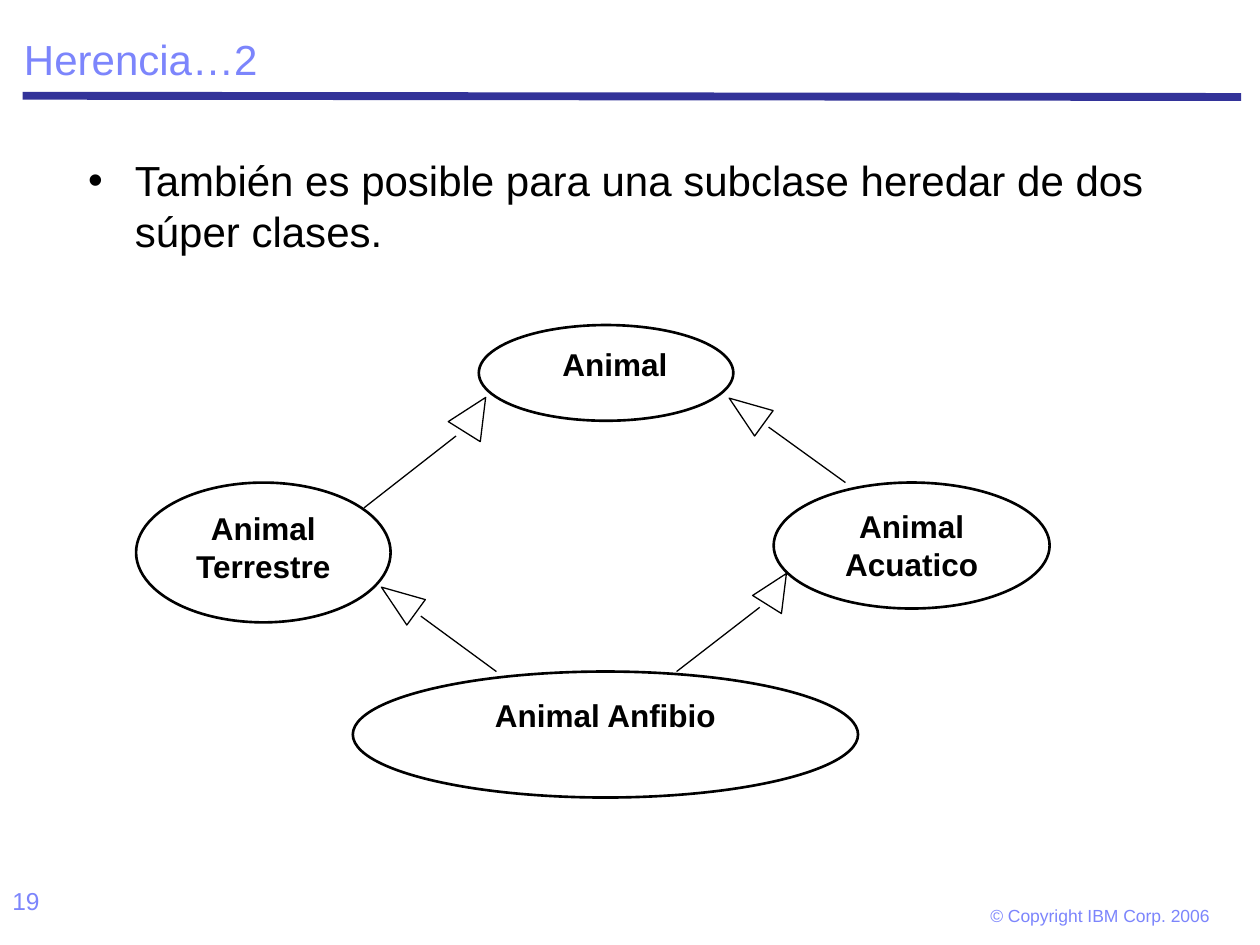
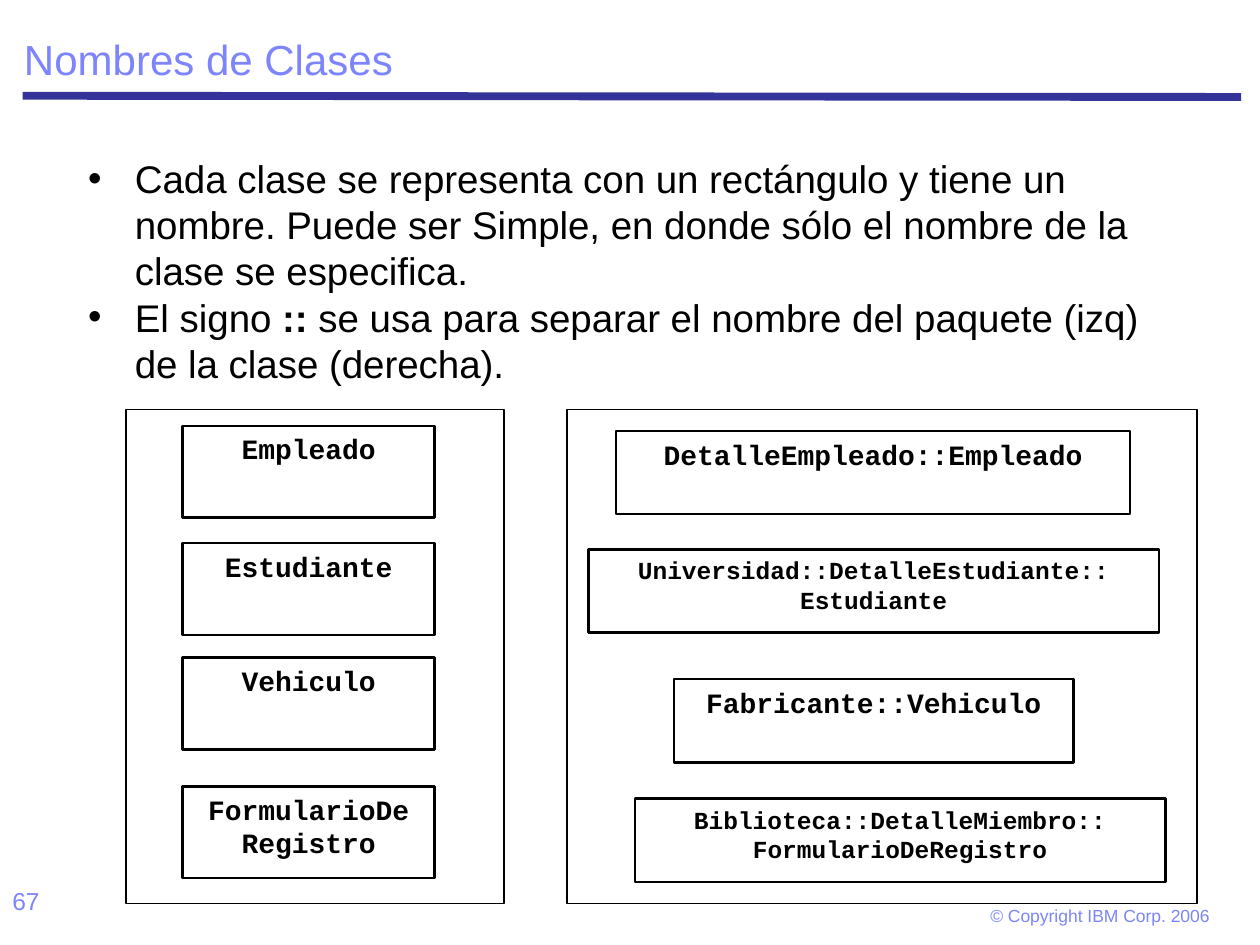
"""Build two slides on class inheritance and class names."""
from lxml.etree import SubElement
from pptx import Presentation
from pptx.dml.color import RGBColor
from pptx.enum.shapes import MSO_CONNECTOR as CONNECTOR, MSO_SHAPE as SHAPE
from pptx.enum.text import MSO_ANCHOR as ANCHOR, MSO_AUTO_SIZE as AUTO_SIZE, PP_ALIGN as ALIGN
from pptx.oxml.ns import qn
from pptx.util import Inches, Pt

COLORS = {"title": "7C85FC", "rule": "333399", "ink": "000000"}
SANS, MONO = "Arial", "Courier New"


def write(shape, paragraphs, size, color="ink", name=SANS, bold=False, align=ALIGN.LEFT, bullet=False):
    """Fill a shape with paragraphs, each a list of (text, bold) runs or a string."""
    frame = shape.text_frame
    frame.auto_size = AUTO_SIZE.NONE
    frame.vertical_anchor = ANCHOR.TOP
    for index, content in enumerate(paragraphs):
        paragraph = frame.add_paragraph() if index else frame.paragraphs[0]
        paragraph.alignment = align
        paragraph.space_before = Pt(0)
        if bullet:
            properties = paragraph._p.get_or_add_pPr()
            properties.set("marL", str(Inches(0.37)))
            properties.set("indent", str(Inches(-0.37)))
            bullet_color = SubElement(properties, qn("a:buClr"))
            SubElement(bullet_color, qn("a:srgbClr"), val=COLORS["ink"])
            SubElement(properties, qn("a:buFont"), typeface=SANS)
            SubElement(properties, qn("a:buChar"), char="•")
        font = paragraph.font
        font.name, font.size, font.bold = name, Pt(size), bold
        font.color.rgb = RGBColor.from_string(COLORS[color])
        for text, strong in [(content, None)] if isinstance(content, str) else content:
            run = paragraph.add_run()
            run.text = text
            if strong:
                run.font.bold = True


def outline(slide, kind, box, width=1.5, rotation=0):
    """Add an unfilled black preset shape, or a line when kind is a connector type."""
    lengths = [Inches(value) for value in box]
    if isinstance(kind, CONNECTOR):
        shape = slide.shapes.add_connector(kind, *lengths)
        SubElement(shape._element.spPr, qn("a:effectLst"))
    else:
        shape = slide.shapes.add_shape(kind, *lengths)
        shape.shadow.inherit = False
        shape.fill.background()
        shape.rotation = rotation
        shape.text_frame.word_wrap = True
    shape.line.width = Pt(width)
    shape.line.color.rgb = RGBColor.from_string(COLORS["ink"])
    return shape


presentation = Presentation()
presentation.slide_width, presentation.slide_height = Inches(10), Inches(7.5)

pages = [
    ("Herencia…2", "19", 24,
     ["También es posible para una subclase heredar de dos súper clases."]),
    ("Nombres de Clases", "67", 22,
     ["Cada clase se representa con un rectángulo y tiene un nombre. Puede ser Simple, "
      "en donde sólo el nombre de la clase se especifica.",
      [("El signo ", False), (":: ", True),
       ("se usa para separar el nombre del paquete (izq) de la clase (derecha).", False)]]),
]
slides = []
for title_text, number, body_size, items in pages:
    slide = presentation.slides.add_slide(presentation.slide_layouts[1])
    slides.append(slide)
    rule = outline(slide, CONNECTOR.STRAIGHT, (0.18, 0.76, 9.85, 0.77), 4.5)
    rule.line.color.rgb = RGBColor.from_string(COLORS["rule"])

    title, body = slide.shapes.title, slide.placeholders[1]
    for placeholder, box in ((title, (0.09, 0.09, 9.8, 0.63)), (body, (0.6, 1.18, 8.8, 5.38))):
        placeholder.left, placeholder.top, placeholder.width, placeholder.height = map(Inches, box)
    write(title, [title_text], 24, "title")
    title.text_frame.vertical_anchor = ANCHOR.BOTTOM
    title.text_frame.paragraphs[0].line_spacing = 0.9
    write(body, items, body_size, bullet=True)

    page_number = slide.shapes.add_textbox(0, Inches(6.98), Inches(2.33), Inches(0.52))
    write(page_number, [number], 14, "title")
    copyright_box = slide.shapes.add_textbox(Inches(7.71), Inches(7.11), Inches(2.04), Inches(0.32))
    write(copyright_box, ["© Copyright IBM Corp. 2006"], 10, "title")
    frame = copyright_box.text_frame
    frame.margin_left = frame.margin_right = Inches(0.15)
    frame.margin_top = frame.margin_bottom = Inches(0.07)

inheritance, class_names = slides

animals = [
    ("Animal", (3.8, 2.58, 2.02, 0.76), 0.24),
    ("Animal Terrestre", (1.08, 3.83, 2.02, 1.11), 0.1),
    ("Animal Acuatico", (6.14, 3.83, 2.19, 1), 0.1),
    ("Animal Anfibio", (2.8, 5.33, 4.01, 1), 0.1),
]
for animal, box, left_margin in animals:
    ellipse = outline(inheritance, SHAPE.OVAL, box)
    write(ellipse, [animal], 18, bold=True, align=ALIGN.CENTER)
    ellipse.text_frame.margin_left = Inches(left_margin)

inheritance_arrows = [
    ((5.8, 3.09, 0.25, 0.34), 306, (6.1, 3.39, 6.71, 3.83)),
    ((3.04, 4.59, 0.25, 0.34), 306, (3.34, 4.89, 3.94, 5.33)),
    ((3.62, 3.13, 0.3, 0.32), 32, (3.62, 3.46, 2.89, 4.03)),
    ((6.03, 4.53, 0.27, 0.29), 32, (6.03, 4.82, 5.37, 5.33)),
]
for head_box, rotation, stem in inheritance_arrows:
    outline(inheritance, SHAPE.ISOSCELES_TRIANGLE, head_box, 0.75, rotation)
    outline(inheritance, CONNECTOR.STRAIGHT, stem, 0.75)

for left, width in ((1, 3), (4.5, 5)):
    outline(class_names, SHAPE.RECTANGLE, (left, 3.25, width, 3.92), 0.75)

simple_names = [("Empleado", 3.38), ("Estudiante", 4.31), ("Vehiculo", 5.22), ("FormularioDe Registro", 6.24)]
classes = [([name], 16, (1.45, top, 2, 0.73)) for name, top in simple_names]
classes += [
    (["DetalleEmpleado::Empleado"], 16, (4.89, 3.42, 4.08, 0.66)),
    (["Universidad::DetalleEstudiante::", "Estudiante"], 14, (4.67, 4.36, 4.53, 0.66)),
    (["Fabricante::Vehiculo"], 16, (5.35, 5.39, 3.17, 0.66)),
    (["Biblioteca::DetalleMiembro:: FormularioDeRegistro"], 14, (5.04, 6.34, 4.21, 0.66)),
]
for lines, size, box in classes:
    class_box = outline(class_names, SHAPE.RECTANGLE, box)
    write(class_box, lines, size, name=MONO, bold=True, align=ALIGN.CENTER)

presentation.save("out.pptx")
